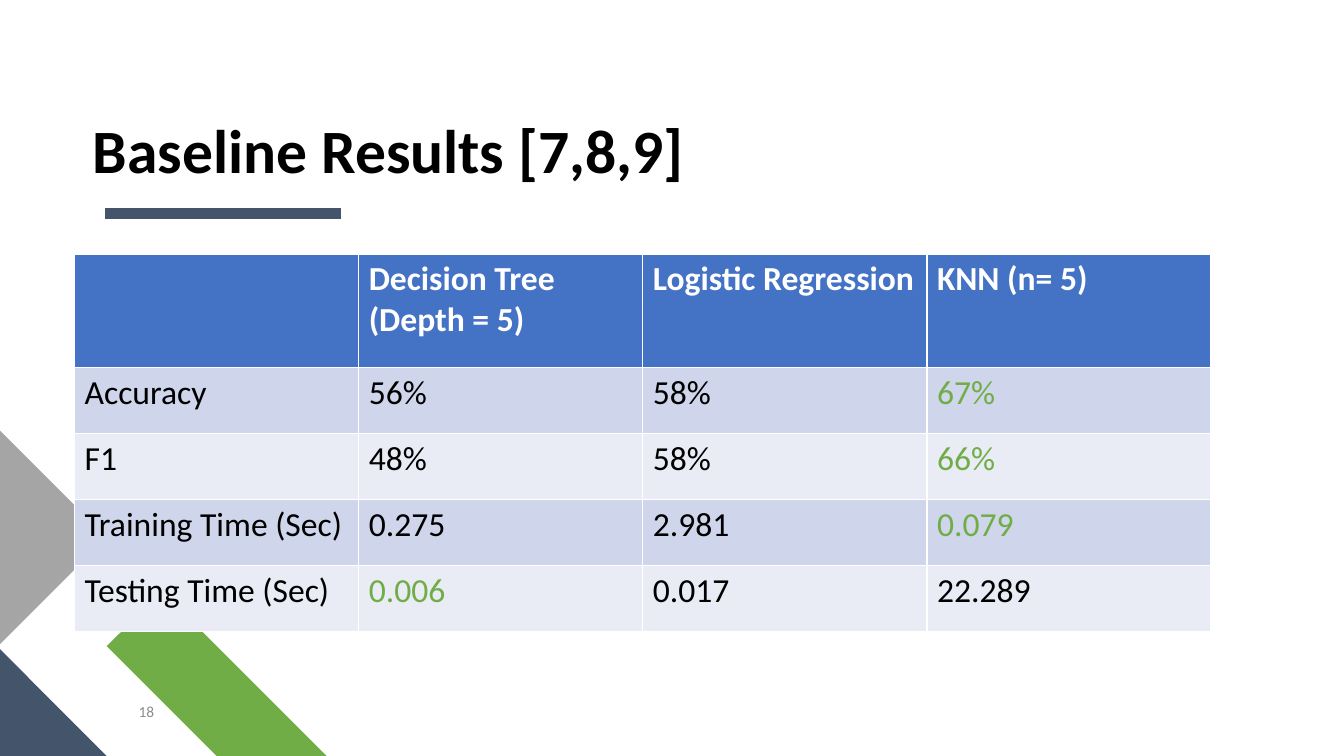
from lxml import etree
from pptx import Presentation
from pptx.dml.color import RGBColor
from pptx.enum import shapes, text
from pptx.oxml import ns
from pptx.util import Cm, Pt

FONT = "Calibri"
BLACK = RGBColor(0x00, 0x00, 0x00)
WHITE = RGBColor(0xFF, 0xFF, 0xFF)
GREEN = RGBColor(0x70, 0xAD, 0x47)
NAVY = RGBColor(0x44, 0x54, 0x6A)
GREY = RGBColor(0xA5, 0xA5, 0xA5)
NUMBER_GREY = RGBColor(0x8C, 0x8C, 0x8C)
HEADER_BLUE = RGBColor(0x44, 0x72, 0xC4)
BANDS = (RGBColor(0xE9, 0xEB, 0xF5), RGBColor(0xCF, 0xD5, 0xEA))

TITLE = "Baseline Results [7,8,9]"
SLIDE_NUMBER = "18"
RESULTS = [
    ("", "Decision Tree\n(Depth = 5)", "Logistic Regression", "KNN (n= 5)"),
    ("Accuracy", "56%", "58%", "67%"),
    ("F1", "48%", "58%", "66%"),
    ("Training Time (Sec)", "0.275", "2.981", "0.079"),
    ("Testing Time (Sec)", "0.006", "0.017", "22.289"),
]
BEST_CELLS = {(1, 3), (2, 3), (3, 3), (4, 1)}
CORNER_SHAPES = [
    (GREEN, [(8.23, 19.05), (5.46, 19.05), (2.69, 16.28), (4.09, 14.91)]),
    (NAVY, [(2.69, 19.05), (0, 19.05), (0, 16.36)]),
    (GREY, [(0, 10.85), (2.69, 13.54), (0, 16.23)]),
]
COLUMN_WIDTH, HEADER_HEIGHT, ROW_HEIGHT = Cm(7.16), Cm(2.87), Cm(1.66)


def set_font(paragraph, size, color, bold=False):
    """Apply the slide font to a whole paragraph."""
    font = paragraph.font
    font.name, font.size, font.bold = FONT, Pt(size), bold
    font.color.rgb = color


def add_corner_shapes(slide):
    """Draw the coloured polygons in the lower left corner."""
    for color, corners in CORNER_SHAPES:
        points = [(Cm(x), Cm(y)) for x, y in corners]
        builder = slide.shapes.build_freeform(*points[0])
        builder.add_line_segments(points[1:], close=True)
        shape = builder.convert_to_shape()
        shape.shadow.inherit = False
        shape.fill.solid()
        shape.fill.fore_color.rgb = color
        shape.line.fill.background()


def add_title(slide):
    """Fill the title placeholder and underline it with a short bar."""
    bar = slide.shapes.add_connector(
        shapes.MSO_CONNECTOR.STRAIGHT, Cm(2.64), Cm(5.38), Cm(8.59), Cm(5.38))
    bar.line.color.rgb = NAVY
    bar.line.width = Pt(8)
    etree.SubElement(bar._element.spPr, ns.qn("a:effectLst"))

    title = slide.shapes.title
    title.left, title.top, title.width, title.height = Cm(2.34), Cm(1.02), Cm(29.21), Cm(3.68)
    frame = title.text_frame
    frame.text = TITLE
    frame.word_wrap = True
    frame.vertical_anchor = text.MSO_ANCHOR.BOTTOM
    frame.margin_left = frame.margin_top = frame.margin_right = frame.margin_bottom = 0
    paragraph = frame.paragraphs[0]
    paragraph.alignment = text.PP_ALIGN.LEFT
    paragraph.line_spacing = 0.9
    set_font(paragraph, 44, BLACK, bold=True)


def add_slide_number(slide):
    """Place the slide number near the lower left corner."""
    frame = slide.shapes.add_textbox(Cm(2.69), Cm(17.58), Cm(1.45), Cm(0.69)).text_frame
    frame.word_wrap = True
    frame.text = SLIDE_NUMBER
    paragraph = frame.paragraphs[0]
    paragraph.alignment = text.PP_ALIGN.RIGHT
    set_font(paragraph, 11, NUMBER_GREY)


def add_results(slide):
    """Build the results table with the best values in green."""
    row_count, column_count = len(RESULTS), len(RESULTS[0])
    table = slide.shapes.add_table(
        row_count, column_count, Cm(1.88), Cm(6.4),
        COLUMN_WIDTH * column_count, HEADER_HEIGHT + ROW_HEIGHT * (row_count - 1)).table
    for column in table.columns:
        column.width = COLUMN_WIDTH
    for row_index, values in enumerate(RESULTS):
        header = row_index == 0
        table.rows[row_index].height = HEADER_HEIGHT if header else ROW_HEIGHT
        for column_index, value in enumerate(values):
            cell = table.cell(row_index, column_index)
            cell.fill.solid()
            cell.fill.fore_color.rgb = HEADER_BLUE if header else BANDS[row_index % 2]
            cell.text = value
            best = (row_index, column_index) in BEST_CELLS
            color = WHITE if header else GREEN if best else BLACK
            for paragraph in cell.text_frame.paragraphs:
                set_font(paragraph, 24, color, bold=header)


def main():
    """Build and save the baseline results slide."""
    presentation = Presentation()
    presentation.slide_width, presentation.slide_height = Cm(33.87), Cm(19.05)
    slide = presentation.slides.add_slide(presentation.slide_layouts[5])
    add_corner_shapes(slide)
    add_title(slide)
    add_slide_number(slide)
    add_results(slide)
    presentation.save("out.pptx")


if __name__ == "__main__":
    main()
